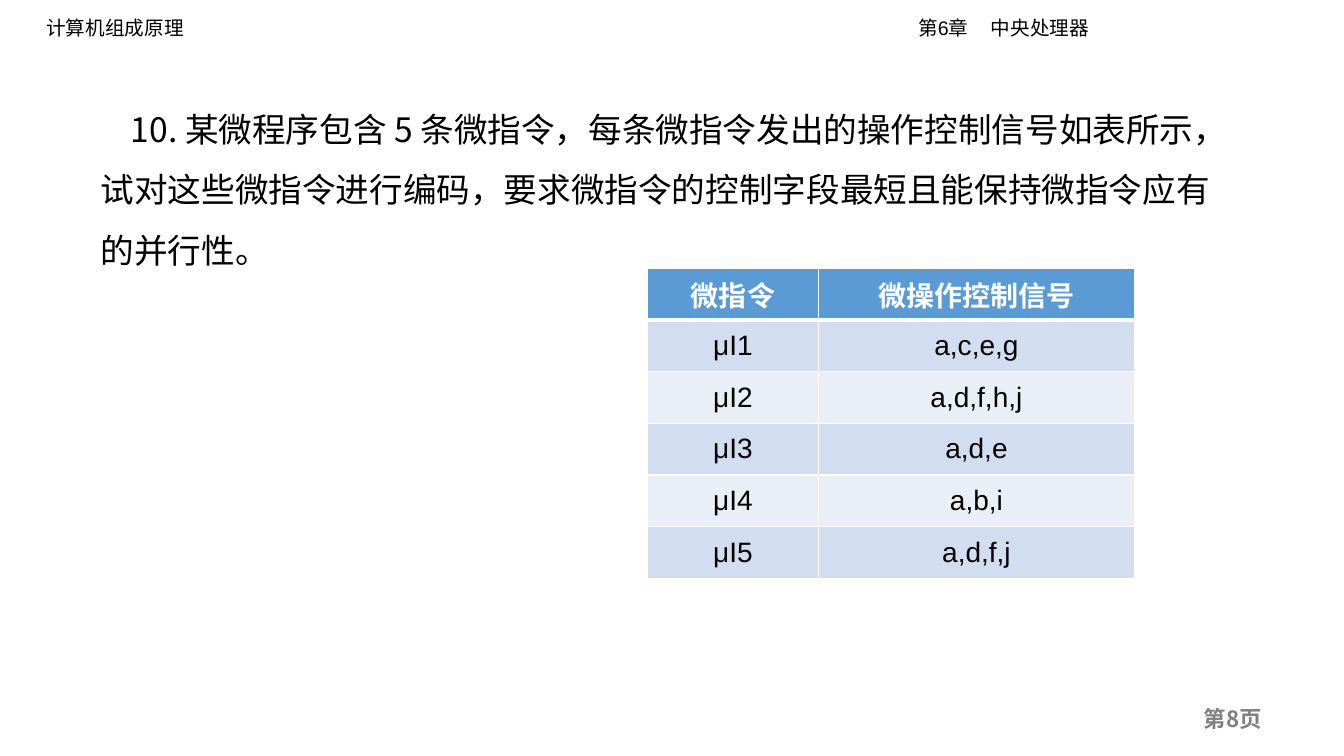
from lxml.etree import SubElement
from pptx import Presentation
from pptx.dml.color import RGBColor
from pptx.enum.text import MSO_ANCHOR, PP_ALIGN
from pptx.oxml.ns import qn
from pptx.util import Inches, Pt

BLACK = RGBColor(0x00, 0x00, 0x00)
WHITE = RGBColor(0xFF, 0xFF, 0xFF)
GRAY = RGBColor(0x80, 0x80, 0x80)
HEAD_BLUE = RGBColor(0x5B, 0x9B, 0xD5)
BAND_DARK = RGBColor(0xD2, 0xDE, 0xEF)
BAND_LIGHT = RGBColor(0xEA, 0xEF, 0xF7)
CJK = "Noto Sans CJK SC"


def write(tf, text, size, font="Arial", color=BLACK, bold=False, align=PP_ALIGN.LEFT):
    tf.word_wrap = True
    p = tf.paragraphs[0]
    p.alignment = align
    r = p.add_run()
    r.text = text
    r.font.size = Pt(size)
    r.font.name = font
    r.font.bold = bold
    r.font.color.rgb = color
    SubElement(r.font._element, qn("a:ea")).set("typeface", CJK)
    return p


def add_border(cell, side, width):
    ln = SubElement(cell._tc.get_or_add_tcPr(), qn("a:" + side), w=str(Pt(width)))
    fill = SubElement(ln, qn("a:solidFill"))
    SubElement(fill, qn("a:srgbClr"), val=str(WHITE))


prs = Presentation()
prs.slide_width, prs.slide_height = Inches(13.33), Inches(7.5)
s = prs.slides.add_slide(prs.slide_layouts[6])

# Running header: course on the left, chapter at tab stops
header = s.shapes.add_textbox(Inches(0.36), Inches(0.11), Inches(12.61), Inches(0.4))
p = write(header.text_frame, "计算机组成原理\t第6章\t中央处理器", 14)
tabs = SubElement(p._p.get_or_add_pPr(), qn("a:tabLst"))
for pos in (8.65, 9.37):
    SubElement(tabs, qn("a:tab"), pos=str(Inches(pos)), algn="l")

# Page number
page = s.shapes.add_textbox(Inches(11.84), Inches(6.95), Inches(1.02), Inches(0.37))
write(page.text_frame, "第8页", 16, font=CJK, color=GRAY, bold=True)

# Question
question = s.shapes.add_textbox(Inches(0.9), Inches(0.83), Inches(11.26), Inches(1.92))
p = write(question.text_frame,
          "10. 某微程序包含 5 条微指令，每条微指令发出的操作控制信号如表所示，"
          "试对这些微指令进行编码，要求微指令的控制字段最短且能保持微指令应有的并行性。",
          24, font=CJK)
p.line_spacing = 1.5
p._p.get_or_add_pPr().set("indent", str(Inches(0.3)))

# Table of microinstructions and their control signals
signals = ["a,c,e,g", "a,d,f,h,j", "a,d,e", "a,b,i", "a,d,f,j"]
rows = [("微指令", "微操作控制信号")]
rows += [(f"μI{n}", signal) for n, signal in enumerate(signals, 1)]
table = s.shapes.add_table(len(rows), 2, Inches(6.42), Inches(2.66),
                           Inches(4.83), Inches(3.08)).table
table.columns[0].width, table.columns[1].width = Inches(1.7), Inches(3.13)
for i, row in enumerate(rows):
    is_head = i == 0
    for j, text in enumerate(row):
        cell = table.cell(i, j)
        cell.vertical_anchor = MSO_ANCHOR.MIDDLE
        write(cell.text_frame, text, 20, color=WHITE if is_head else BLACK,
              bold=is_head, align=PP_ALIGN.CENTER)
        for side in ("lnL", "lnR", "lnT", "lnB"):
            thick = (is_head and side == "lnB") or (i == 1 and side == "lnT")
            add_border(cell, side, 3 if thick else 1)
        cell.fill.solid()
        cell.fill.fore_color.rgb = (HEAD_BLUE if is_head
                                    else BAND_DARK if i % 2 else BAND_LIGHT)

prs.save("out.pptx")
